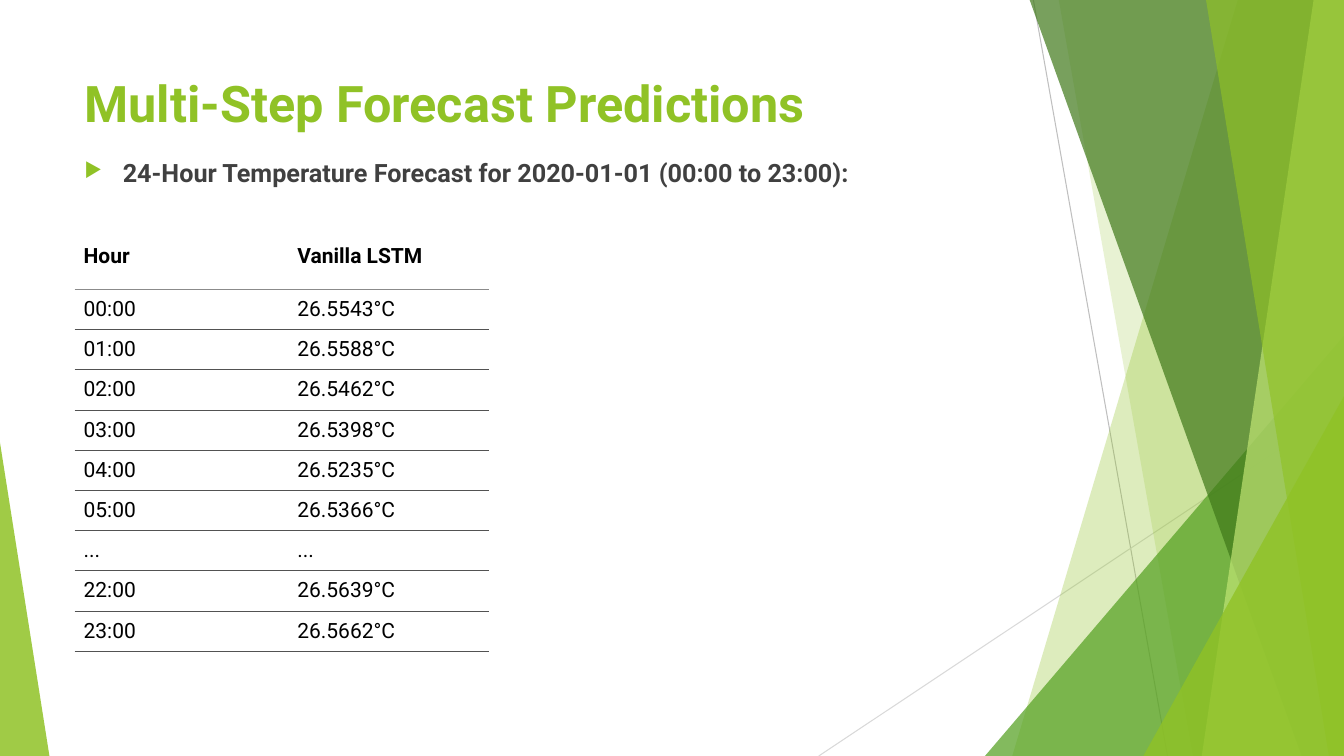
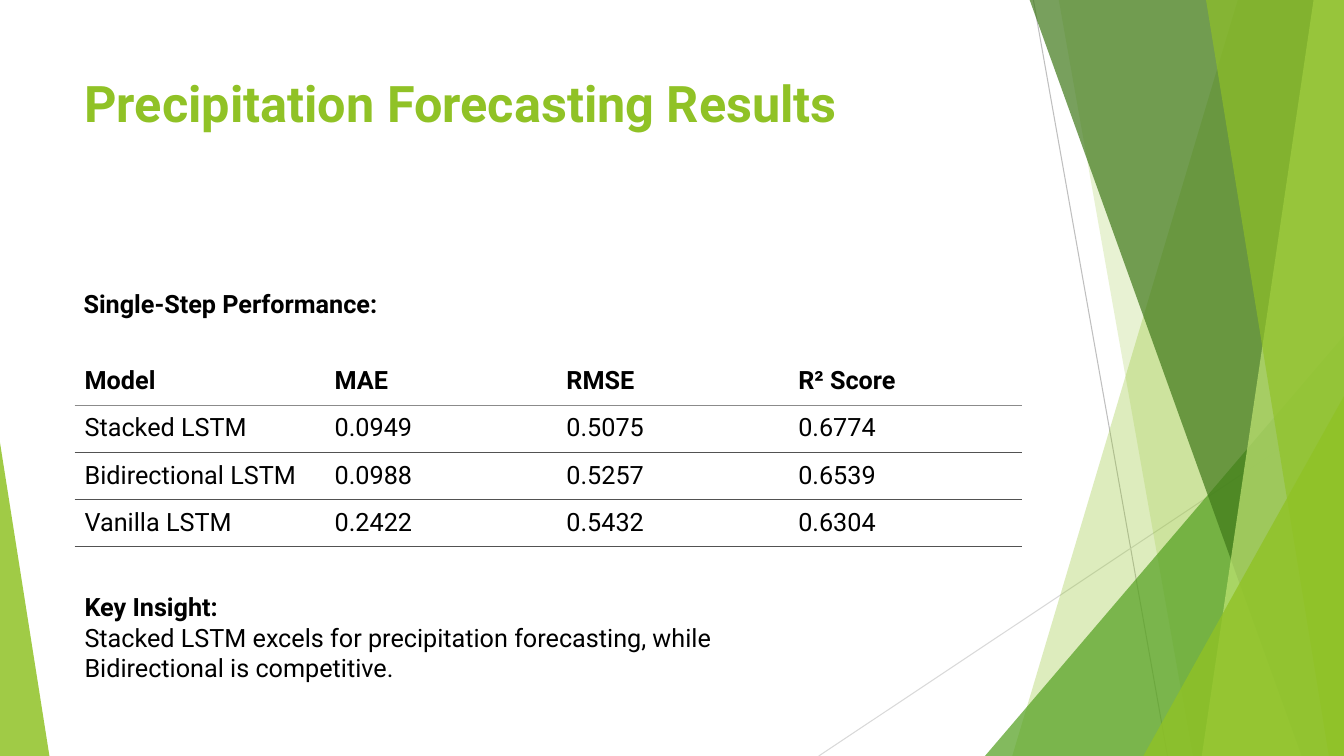
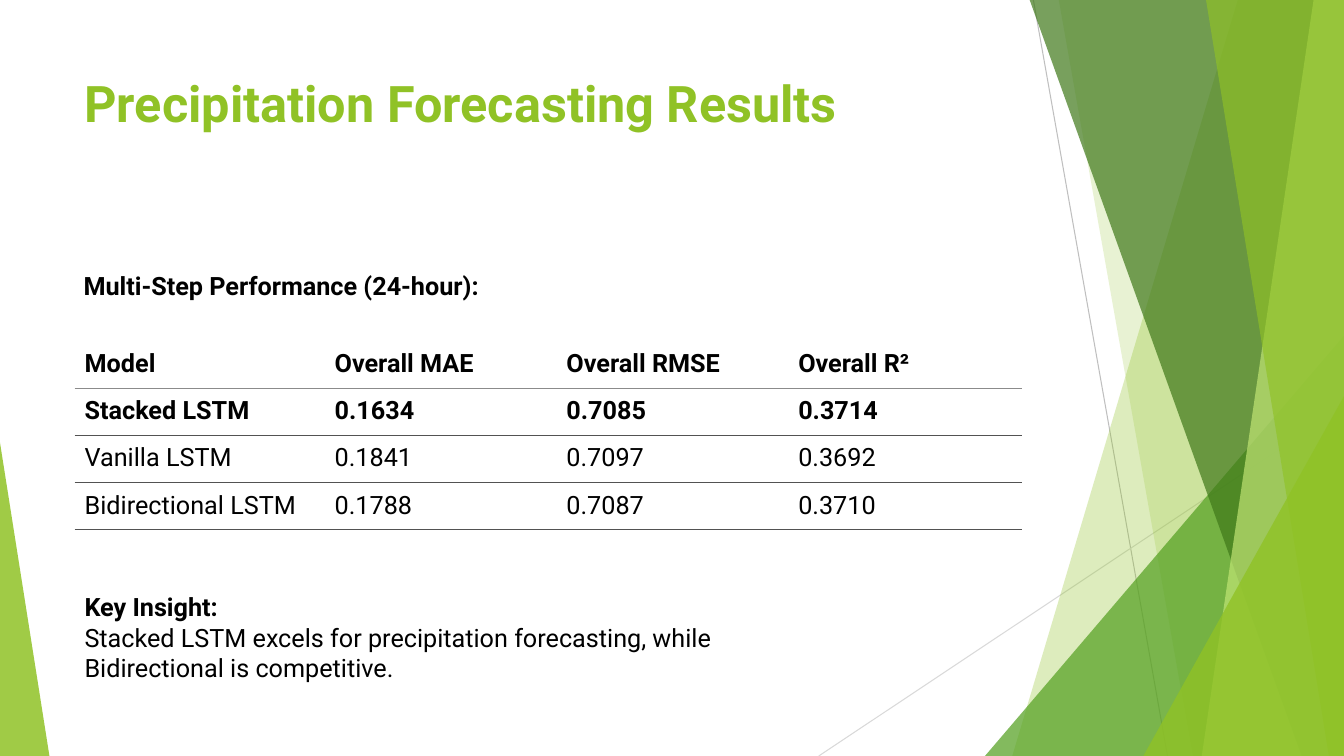
from lxml.etree import SubElement
from pptx import Presentation
from pptx.dml.color import RGBColor
from pptx.enum.shapes import MSO_CONNECTOR, MSO_SHAPE
from pptx.enum.text import MSO_ANCHOR
from pptx.oxml.ns import qn
from pptx.util import Inches, Pt

WIDTH, HEIGHT = Inches(13.33), Inches(7.5)
FONT = "Roboto"
COLORS = {
    "lime": "90C226", "green": "54A021", "forest": "3F7819", "pale": "C0E474",
    "body": "404040", "black": "000000", "rule": "525252", "header_rule": "8B8B8B",
    "ray": "BFBFBF", "faint_ray": "D9D9D9",
}
MARGIN, CONTENT = 5.55, 70.5
BLEED = -0.13
RAYS = [(76.89, 0, 86.87, 100, "ray"), (100, 53.73, 60.92, 100, "faint_ray")]
FACETS = [
    ("band", (92.12, 75.32), "lime", 30),
    ("band", (78.77, 88.75), "lime", 20),
    ("peak", (73.29, 44.4, 100, 1), "green", 72),
    ("band", (76.59, 96.85), "forest", 70),
    ("band", (97.75, 89.42), "pale", 70),
    ("band", (89.72, 98.87), "lime", 65),
    ("peak", (85.07, 52.4, 100, 1), "lime", 80),
    ("peak", (0, 58.53, 3.68, 0), "lime", 85),
]
INSIGHT = ("Key Insight:\nStacked LSTM excels for precipitation forecasting, "
           "while Bidirectional is competitive.")
RESULT_COLUMNS = [18.75, 17.25, 17.25, 17.25]
HOURLY = [
    ("Hour", "Vanilla LSTM"), ("00:00", "26.5543°C"), ("01:00", "26.5588°C"),
    ("02:00", "26.5462°C"), ("03:00", "26.5398°C"), ("04:00", "26.5235°C"),
    ("05:00", "26.5366°C"), ("...", "..."), ("22:00", "26.5639°C"), ("23:00", "26.5662°C"),
]
SINGLE_STEP = [
    ("Model", "MAE", "RMSE", "R² Score"),
    ("Stacked LSTM", "0.0949", "0.5075", "0.6774"),
    ("Bidirectional LSTM", "0.0988", "0.5257", "0.6539"),
    ("Vanilla LSTM", "0.2422", "0.5432", "0.6304"),
]
MULTI_STEP = [
    ("Model", "Overall MAE", "Overall RMSE", "Overall R²"),
    ("Stacked LSTM", "0.1634", "0.7085", "0.3714"),
    ("Vanilla LSTM", "0.1841", "0.7097", "0.3692"),
    ("Bidirectional LSTM", "0.1788", "0.7087", "0.3710"),
]


def across(percent):
    """Turn a percentage of the slide width into a length."""
    return round(WIDTH * percent / 100)


def down(percent):
    """Turn a percentage of the slide height into a length."""
    return round(HEIGHT * percent / 100)


def rgb(color):
    """Look up a colour by its name."""
    return RGBColor.from_string(COLORS[color])


def add_ray(shapes, x1, y1, x2, y2, color):
    """Draw one thin background line."""
    ray = shapes.add_connector(MSO_CONNECTOR.STRAIGHT, across(x1), down(y1), across(x2), down(y2))
    ray.line.color.rgb = rgb(color)
    ray.line.width = Pt(0.75)
    SubElement(ray._element.spPr, qn("a:effectLst"))


def add_band(shapes, top, bottom):
    """Outline a band that runs from a slanted edge to the right side of the slide."""
    outline = shapes.build_freeform(across(top), down(BLEED), scale=1.0)
    outline.add_line_segments([(across(100), down(BLEED)), (across(100), down(100)),
                               (across(bottom), down(100))], close=True)
    return outline.convert_to_shape()


def add_peak(shapes, left, top, right, lean):
    """Add a triangle that stands on the bottom edge."""
    peak = shapes.add_shape(MSO_SHAPE.ISOSCELES_TRIANGLE, across(left), down(top),
                            across(right - left), down(100 - top))
    peak.adjustments[0] = lean
    return peak


def add_backdrop(slide):
    """Draw the rays and translucent facets shared by all slides."""
    shapes = slide.shapes.add_group_shape().shapes
    for ray in RAYS:
        add_ray(shapes, *ray)
    builders = {"band": add_band, "peak": add_peak}
    for kind, geometry, color, opacity in FACETS:
        facet = builders[kind](shapes, *geometry)
        facet.shadow.inherit = False
        facet.line.fill.background()
        facet.fill.solid()
        facet.fill.fore_color.rgb = rgb(color)
        shade = facet._element.spPr.find(qn("a:solidFill"))[0]
        SubElement(shade, qn("a:alpha"), val=str(opacity * 1000))


def style_run(run, size, color="black", bold=False):
    """Apply the deck font to a run."""
    run.font.name = FONT
    run.font.size = Pt(size)
    run.font.bold = bold
    run.font.color.rgb = rgb(color)


def add_text(slide, text, left, top, width, height, size=18, color="black"):
    """Add a text box whose first line is bold and return its paragraph."""
    frame = slide.shapes.add_textbox(across(left), down(top), across(width), down(height)).text_frame
    frame.word_wrap = True
    paragraph = frame.paragraphs[0]
    paragraph.text = text
    for index, run in enumerate(paragraph.runs):
        style_run(run, size, color, bold=index == 0)
    return paragraph


def add_bullet(paragraph):
    """Give a paragraph the green arrow bullet and its hanging indent."""
    paragraph.space_before = Pt(10)
    properties = paragraph._p.get_or_add_pPr()
    properties.set("marL", str(Inches(0.38)))
    properties.set("indent", str(-Inches(0.38)))
    bullet_color = SubElement(properties, qn("a:buClr"))
    SubElement(bullet_color, qn("a:srgbClr"), val=COLORS["lime"])
    SubElement(properties, qn("a:buSzPct"), val="80000")
    SubElement(properties, qn("a:buChar"), char="▶")


def set_border(cell, side, color=None):
    """Set one side of a cell to a thin rule, or to nothing."""
    border = SubElement(cell._tc.get_or_add_tcPr(), qn(f"a:ln{side}"), w=str(Pt(0.48)))
    if color is None:
        SubElement(border, qn("a:noFill"))
    else:
        fill = SubElement(border, qn("a:solidFill"))
        SubElement(fill, qn("a:srgbClr"), val=COLORS[color])


def style_cell(cell, row, column, size, padding, bold):
    """Set the margins, rules, fill and font of one cell."""
    cell.vertical_anchor = MSO_ANCHOR.MIDDLE
    cell.margin_top = cell.margin_right = cell.margin_bottom = Inches(padding)
    cell.margin_left = Inches(padding + 0.02 if column == 0 else padding)
    rules = [None, "header_rule", "rule"]
    set_border(cell, "L")
    set_border(cell, "R")
    set_border(cell, "T", rules[min(row, 2)])
    set_border(cell, "B", rules[min(row + 1, 2)])
    cell.fill.background()
    style_run(cell.text_frame.paragraphs[0].runs[0], size, bold=bold)


def add_ruled_table(slide, rows, top, columns, header, pitch, size=18, padding=0.08, bold_rows=1):
    """Add a table with horizontal rules only."""
    heights = [header] + [pitch] * (len(rows) - 1)
    table = slide.shapes.add_table(len(rows), len(columns), across(MARGIN), down(top),
                                   across(sum(columns)), down(sum(heights))).table
    table.first_row = table.horz_banding = False
    for column, width in zip(table.columns, columns):
        column.width = across(width)
    for r, values in enumerate(rows):
        table.rows[r].height = down(heights[r])
        for c, value in enumerate(values):
            cell = table.cell(r, c)
            cell.text_frame.text = value
            style_cell(cell, r, c, size, padding, r < bold_rows)


def add_titled_slide(deck, title):
    """Start a slide with the backdrop and a title."""
    slide = deck.slides.add_slide(deck.slide_layouts[6])
    add_backdrop(slide)
    add_text(slide, title, MARGIN, 8.93, CONTENT, 19.2, size=36, color="lime")
    return slide


def add_results_slide(deck, heading, rows, heading_top, table_top, bold_rows=1):
    """Add a precipitation slide and return its heading paragraph."""
    slide = add_titled_slide(deck, "Precipitation Forecasting Results")
    paragraph = add_text(slide, heading, 5.48, heading_top, 50, 5.33)
    add_ruled_table(slide, rows, table_top, RESULT_COLUMNS, 6.23, 6.23, bold_rows=bold_rows)
    add_text(slide, INSIGHT, MARGIN, 77.6, 50, 13.47)
    return paragraph


def main():
    """Build and save the deck."""
    deck = Presentation()
    deck.slide_width, deck.slide_height = WIDTH, HEIGHT

    forecast = add_titled_slide(deck, "Multi-Step Forecast Predictions")
    add_bullet(add_text(forecast, "24-Hour Temperature Forecast for 2020-01-01 (00:00 to 23:00):",
                        MARGIN, 20.13, CONTENT, 6.4, color="body"))
    add_ruled_table(forecast, HOURLY, 29.6, [16.05, 14.78], 8.67, 5.32, size=15, padding=0.07)

    add_results_slide(deck, "Single-Step Performance:", SINGLE_STEP, 37.47, 47.33)
    heading = add_results_slide(deck, "Multi-Step Performance (24-hour):", MULTI_STEP,
                                35.07, 45.07, bold_rows=2)
    heading.line_spacing = Pt(21.4)
    heading.space_before = heading.space_after = Pt(10.3)

    deck.save("out.pptx")


if __name__ == "__main__":
    main()
